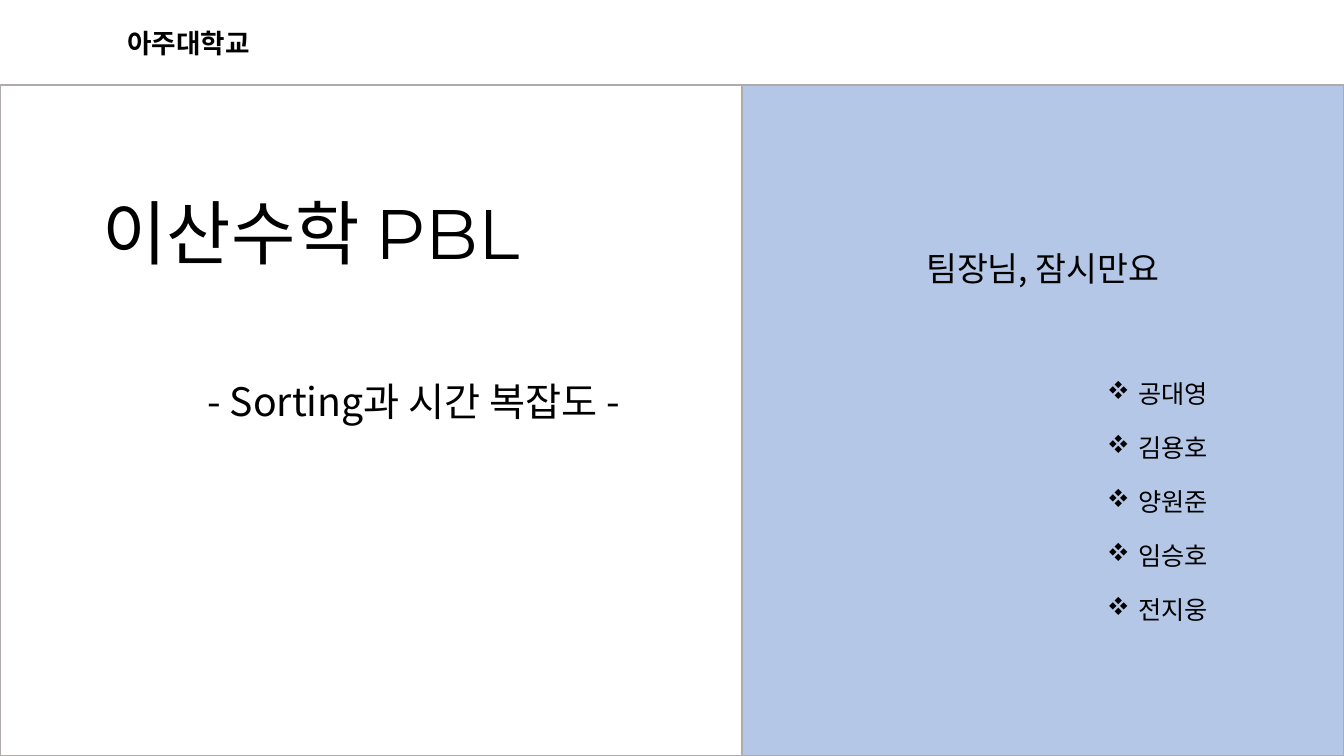
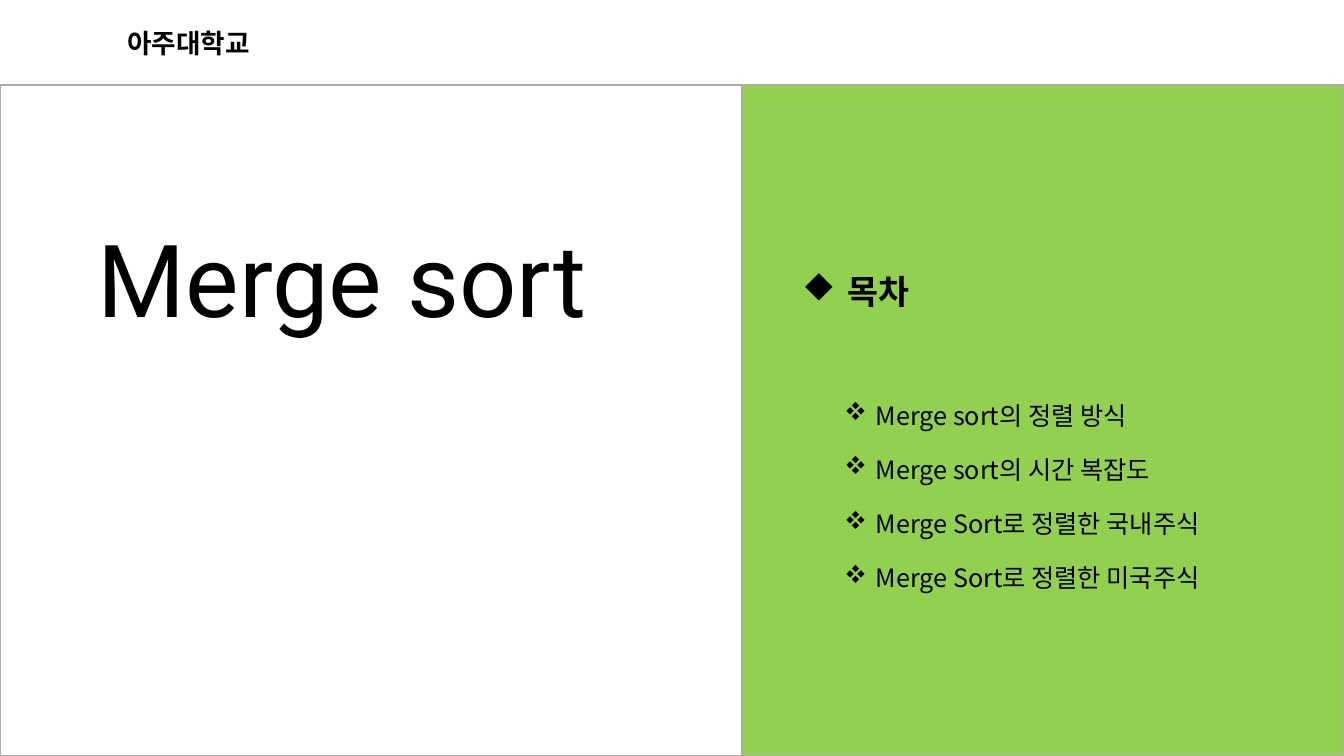
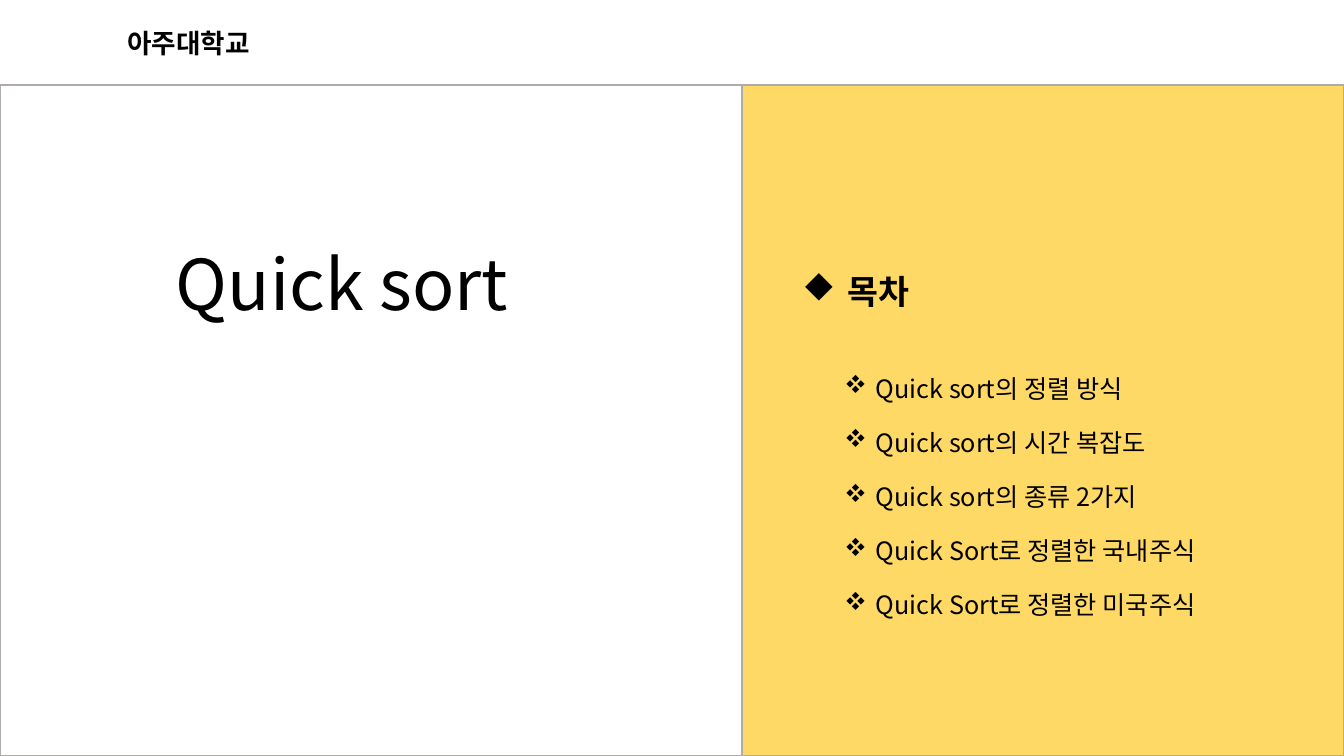
from pptx import Presentation
from pptx.dml.color import RGBColor
from pptx.enum.shapes import MSO_SHAPE
from pptx.enum.text import MSO_ANCHOR, MSO_AUTO_SIZE, PP_ALIGN
from pptx.oxml.ns import qn
from pptx.util import Pt

RECTANGLE = MSO_SHAPE.RECTANGLE
TOP, MIDDLE, BOTTOM = MSO_ANCHOR.TOP, MSO_ANCHOR.MIDDLE, MSO_ANCHOR.BOTTOM
NO_AUTOFIT = MSO_AUTO_SIZE.NONE
LEFT, CENTER = PP_ALIGN.LEFT, PP_ALIGN.CENTER

BLACK = RGBColor(0x00, 0x00, 0x00)
GRAY = RGBColor(0xAF, 0xAB, 0xAB)
BLUE = RGBColor(0xB4, 0xC7, 0xE7)
GREEN = RGBColor(0x92, 0xD0, 0x50)
YELLOW = RGBColor(0xFF, 0xD9, 0x66)

KOREAN_FONT = "Noto Sans CJK KR"
SLIDE_WIDTH, SLIDE_HEIGHT = 960, 540
PANEL_TOP, PANEL_SPLIT = 60.5, 530
TITLE_WIDTH, TITLE_HEIGHT = 415.4, 54.7
ITEM_GAP = 17
INSET = 3.6

# Wingdings codes of the two bullets
FOUR_DIAMONDS, DIAMOND = "v", "u"


def set_font(font, size, name=KOREAN_FONT, bold=False):
    font.size, font.name, font.bold = Pt(size), name, bold
    font.color.rgb = BLACK


def add_run(paragraph, text, size, name=KOREAN_FONT, bold=False):
    """Add text whose Latin and Korean letters share one font."""
    run = paragraph.add_run()
    run.text = text
    set_font(run.font, size, name, bold)
    properties = run._r.get_or_add_rPr()
    east_asian = properties.makeelement(qn("a:ea"), {"typeface": name})
    properties.find(qn("a:latin")).addnext(east_asian)


def set_bullet(paragraph, character, margin, hanging):
    paragraph.level = 1
    properties = paragraph._p.get_or_add_pPr()
    properties.set("marL", str(Pt(margin)))
    properties.set("indent", str(-Pt(hanging)))
    for tag, key, value in (("a:buFont", "typeface", "Wingdings"),
                            ("a:buChar", "char", character)):
        properties.append(properties.makeelement(qn(tag), {key: value}))


def place(shape, left, top, width, height, anchor):
    shape.left, shape.top = Pt(left), Pt(top)
    shape.width, shape.height = Pt(width), Pt(height)
    frame = shape.text_frame
    frame.word_wrap = True
    frame.auto_size = NO_AUTOFIT
    frame.vertical_anchor = anchor
    return frame


def add_text_box(slide, left, top, width, height):
    box = slide.shapes.add_textbox(0, 0, 0, 0)
    return place(box, left, top, width, height, MIDDLE)


def add_label(slide, text, box, size, bold=False):
    paragraph = add_text_box(slide, *box).paragraphs[0]
    paragraph.alignment = CENTER
    add_run(paragraph, text, size, bold=bold)


def add_list(slide, items, box, alignment, lower=0, raise_by=0):
    """Add a bulleted list, shifted from the middle of its box."""
    frame = add_text_box(slide, *box)
    frame.margin_top = Pt(INSET + 2 * lower)
    frame.margin_bottom = Pt(INSET + 2 * raise_by)
    for index, item in enumerate(items):
        paragraph = frame.paragraphs[0] if index == 0 else frame.add_paragraph()
        paragraph.alignment = alignment
        paragraph.space_before = Pt(ITEM_GAP if index else 0)
        set_bullet(paragraph, FOUR_DIAMONDS, 58.5, 22.5)
        add_run(paragraph, item, 18)


def add_contents(slide, items):
    heading = add_text_box(slide, 530, 203.8, 143.3, 31.7)
    heading.margin_bottom = Pt(INSET + 23)
    paragraph = heading.paragraphs[0]
    paragraph.alignment = LEFT
    set_bullet(paragraph, DIAMOND, 63, 27)
    add_run(paragraph, " 목차", 24, bold=True)
    add_list(slide, items, (560, 266.4, 335.5, 221), LEFT, raise_by=22.5)


def add_panel(slide, left, right, color=None):
    panel = slide.shapes.add_shape(RECTANGLE, Pt(left), Pt(PANEL_TOP),
                                   Pt(right - left), Pt(SLIDE_HEIGHT - PANEL_TOP))
    panel.shadow.inherit = False
    if color is None:
        panel.fill.background()
    else:
        panel.fill.solid()
        panel.fill.fore_color.rgb = color
    panel.line.color.rgb = GRAY
    panel.line.width = Pt(1.5)


def fill_placeholder(shape, box, anchor, runs, space_before=0):
    paragraph = place(shape, *box, anchor).paragraphs[0]
    paragraph.alignment = CENTER
    paragraph.line_spacing = 0.9
    paragraph.space_before = Pt(space_before)
    for text, size, name in runs:
        add_run(paragraph, text, size, name)


def add_section(presentation, color, left, top, title_runs, subtitle=None):
    """Add a slide with the shared header, two panels and a title."""
    slide = presentation.slides.add_slide(presentation.slide_layouts[0])
    title_box = (left, top, TITLE_WIDTH, TITLE_HEIGHT)
    fill_placeholder(slide.shapes.title, title_box, BOTTOM, title_runs)
    subtitle_shape = slide.placeholders[1]
    if subtitle:
        fill_placeholder(subtitle_shape, (87.8, 270, TITLE_WIDTH, 130.3), TOP,
                         [(subtitle, 28, KOREAN_FONT)], space_before=10)
    else:
        subtitle_shape.element.getparent().remove(subtitle_shape.element)
    add_panel(slide, PANEL_SPLIT, SLIDE_WIDTH, color)
    add_panel(slide, 0, PANEL_SPLIT)
    add_label(slide, "아주대학교", (61.2, 13, 146.9, 35.3), 19, bold=True)
    return slide


def main():
    presentation = Presentation()
    presentation.slide_width = Pt(SLIDE_WIDTH)
    presentation.slide_height = Pt(SLIDE_HEIGHT)

    # Cover with the team
    cover = add_section(presentation, BLUE, 14.4, 145.4,
                        [("이산수학 ", 50, KOREAN_FONT), ("PBL", 50, "Montserrat")],
                        subtitle="- Sorting과 시간 복잡도 -")
    add_label(cover, "팀장님, 잠시만요", (594, 146.9, 301.7, 88.6), 24)
    add_list(cover, ["공대영", "김용호", "양원준", "임승호", "전지웅"],
             (658, 304.6, 301.7, 88.6), CENTER, lower=9.5)

    # Merge sort
    merge = add_section(presentation, GREEN, 36.7, 191.5,
                        [("Merge sort", 72, "Roboto")])
    add_contents(merge, ["Merge sort의 정렬 방식", "Merge sort의 시간 복잡도",
                         "Merge Sort로 정렬한 국내주식",
                         "Merge Sort로 정렬한 미국주식"])

    # Quick sort
    quick = add_section(presentation, YELLOW, 36.7, 181.4,
                        [("Quick sort", 50, KOREAN_FONT)])
    add_contents(quick, ["Quick sort의 정렬 방식", "Quick sort의 시간 복잡도",
                         "Quick sort의 종류 2가지",
                         "Quick Sort로 정렬한 국내주식",
                         "Quick Sort로 정렬한 미국주식"])

    presentation.save("out.pptx")


main()
